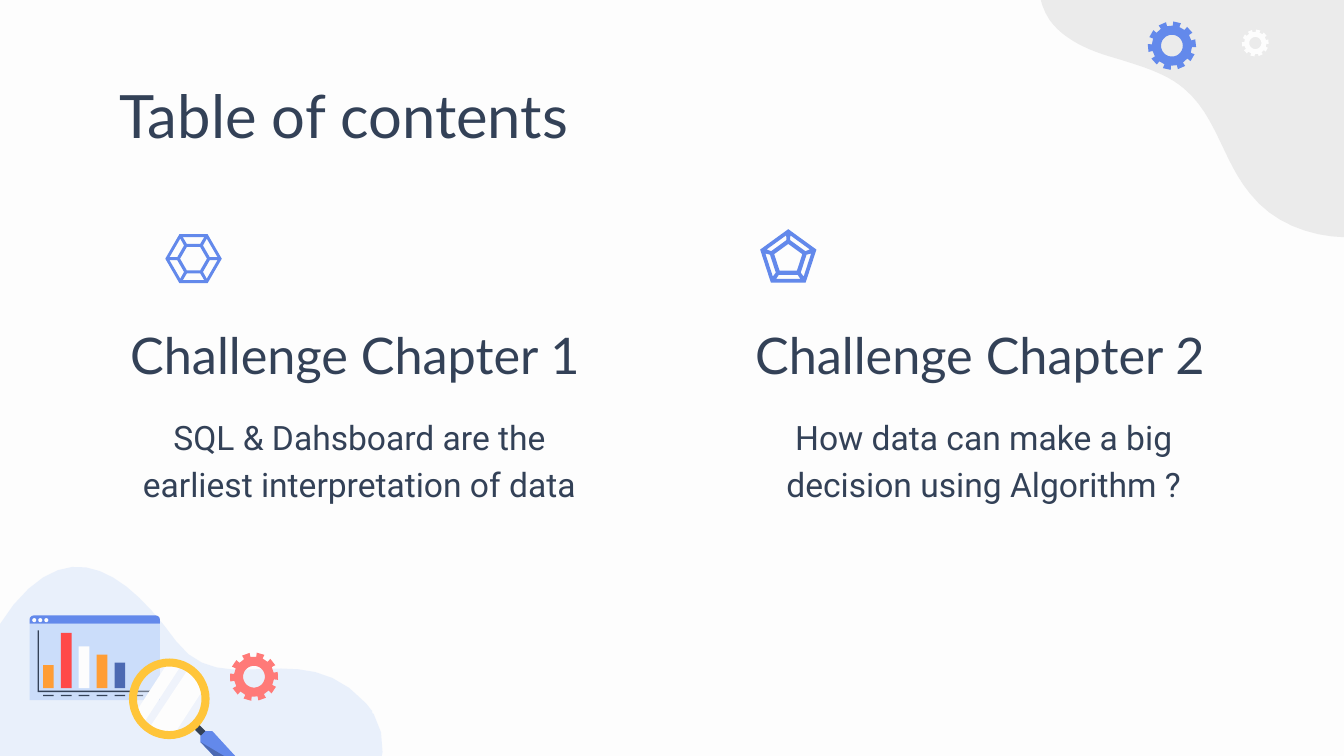
import math
import pptx
import pptx.dml.color
import pptx.enum.shapes
import pptx.enum.text
import pptx.oxml
import pptx.util

Inches = pptx.util.Inches
Pt = pptx.util.Pt
RGB = pptx.dml.color.RGBColor
KIND = pptx.enum.shapes.MSO_SHAPE
ALIGN = pptx.enum.text.PP_ALIGN
ANCHOR = pptx.enum.text.MSO_ANCHOR

PAPER = RGB(0xFD, 0xFD, 0xFD)
INK = RGB(0x33, 0x41, 0x57)
BLUE = RGB(0x63, 0x89, 0xEB)
NAVY = RGB(0x4C, 0x69, 0xB2)
PALE = RGB(0xCB, 0xDD, 0xFA)
GREY = RGB(0xEB, 0xEB, 0xEB)
CORAL = RGB(0xFF, 0x7A, 0x78)
RED = RGB(0xFF, 0x49, 0x49)
AMBER = RGB(0xFF, 0x9D, 0x35)
GOLD = RGB(0xFF, 0xC5, 0x3A)

# Content: words, box (left, top, width, height), style
HEAD = {"size": Pt(32), "name": "Lato"}
NAME = {"size": Pt(27), "name": "Lato"}
BODY = {"size": Pt(18), "name": "Roboto"}
TEXTS = [
    ("Table of contents", (0.79, 0.49, 8.43, 0.63), HEAD),
    ("How data can make a big decision using Algorithm ?", (5.47, 2.96, 3.7, 1.24), BODY),
    ("SQL & Dahsboard are the earliest interpretation of data", (0.79, 2.96, 3.77, 1.24), BODY),
    ("Challenge Chapter 1", (0.87, 2.33, 3.61, 0.63), NAME),
    ("Challenge Chapter 2", (5.52, 2.33, 3.61, 0.63), NAME),
]
FORMS = {
    id(HEAD): (ANCHOR.TOP, ALIGN.LEFT, 1.0),
    id(NAME): (ANCHOR.BOTTOM, ALIGN.LEFT, 1.15),
    id(BODY): (ANCHOR.TOP, ALIGN.CENTER, 1.15),
}

# Blobs: start, curves (two handles and an end point), centre, colour, alpha, turn
BLOBS = [
    ((2.72, 5.23), [
        (2.74, 5.25, 2.75, 5.27, 2.77, 5.29), (2.77, 5.3, 2.77, 5.31, 2.78, 5.31),
        (3.1, 5.85, 2.21, 6.6, 1.71, 7.14), (1.42, 7.45, 1.47, 7.43, 1.03, 8),
        (0.69, 8.45, 0.37, 8.42, 0.21, 8.25), (0.2, 8.25, 0.2, 8.24, 0.19, 8.23),
        (0.16, 8.19, 0.13, 8.14, 0.12, 8.08), (0.03, 7.79, 0.04, 7.66, -0.72, 7.19),
        (-1.48, 6.73, -1.1, 6.35, -0.58, 6.06), (-0.06, 5.76, -0.35, 5.05, 0.1, 4.5),
        (0.55, 3.95, 0.96, 4.29, 1.31, 4.77), (1.66, 5.24, 2.24, 4.7, 2.72, 5.23),
    ], PALE, 39, 311.2),
    ((11.13, -0.56), [
        (11.35, -0.14, 11.37, 0.38, 11.21, 0.83), (11.07, 1.21, 10.79, 1.55, 10.41, 1.7),
        (10.03, 1.84, 9.55, 1.76, 9.3, 1.44), (9.1, 1.2, 9.05, 0.86, 8.81, 0.66),
        (8.67, 0.54, 8.48, 0.49, 8.29, 0.43), (8.11, 0.38, 7.92, 0.3, 7.81, 0.15),
        (7.67, -0.06, 7.71, -0.36, 7.86, -0.57), (8.01, -0.78, 8.24, -0.91, 8.48, -1.01),
        (9.14, -1.29, 10.03, -1.53, 10.67, -1.08), (10.86, -0.95, 11.02, -0.77, 11.13, -0.56),
    ], GREY, 100, 21.5),
]
BARS = [(0.17, AMBER), (0.41, RED), (0.31, PAPER), (0.25, AMBER), (0.19, NAVY), (0.41, PALE)]
# Gears: centre, radius, colour, turn
GEARS = [(1.89, 5.035, 0.18, CORAL, 0), (8.72, 0.34, 0.18, BLUE, 68.3),
         (9.34, 0.32, 0.1, PAPER, 68.3)]
# Icons: sides, centre, outer and inner radius, half widths and depths of a pane
ICONS = [(6, 1.44, 1.925, 0.21, 0.1, (0.05, 0.11), (0.08, 0.16)),
         (5, 5.865, 1.925, 0.22, 0.11, (0.07, 0.12), (0.09, 0.15))]
LENS = (1.255, 5.195, 0.265)

deck = pptx.Presentation()
deck.slide_width, deck.slide_height = Inches(10), Inches(45 / 8)
slide = deck.slides.add_slide(deck.slide_layouts[6])
slide.background.fill.solid()
slide.background.fill.fore_color.rgb = PAPER


def paint(shape, color, alpha=100):
    shape.shadow.inherit = False
    shape.line.fill.background()
    shape.fill.solid()
    shape.fill.fore_color.rgb = color
    if alpha < 100:
        tone = shape.fill._xPr.find(".//" + pptx.oxml.ns.qn("a:srgbClr"))
        part = pptx.oxml.parse_xml("<a:alpha %s val='%d'/>" % (pptx.oxml.ns.nsdecls("a"), alpha * 1000))
        tone.append(part)
    return shape


def block(kind, box, color, alpha=100):
    return paint(slide.shapes.add_shape(kind, *map(Inches, box)), color, alpha)


def outline(rings, color, alpha=100):
    rings = [[(Inches(x), Inches(y)) for x, y in ring] for ring in rings]
    pen = slide.shapes.build_freeform(*rings[0][0])
    for k, ring in enumerate(rings):
        if k:
            pen.move_to(*ring[0])
        pen.add_line_segments(ring[1:], close=True)
    return paint(pen.convert_to_shape(), color, alpha)


def polar(x, y, r, deg):
    a = math.radians(deg)
    return x + r * math.cos(a), y + r * math.sin(a)


def spin(dots, x, y, deg):
    return [polar(x, y, math.hypot(u - x, v - y), math.degrees(math.atan2(v - y, u - x)) + deg)
            for u, v in dots]


def arc(x, y, r, a, b, n=12):
    return [polar(x, y, r, a + (b - a) * k / n) for k in range(n + 1)]


def trace(start, curves, n=12):
    dots = [start]
    for c in curves:
        four = [dots[-1], c[:2], c[2:4], c[4:]]
        for k in range(1, n + 1):
            t = k / n
            w = [(1 - t) ** 3, 3 * t * (1 - t) ** 2, 3 * t * t * (1 - t), t ** 3]
            dots.append(tuple(sum(f * p[i] for f, p in zip(w, four)) for i in (0, 1)))
    return dots


# Corner blobs: level the outline, then turn the shape about its own middle
for start, curves, color, alpha, turn in BLOBS:
    level = spin(trace(start, curves), 0, 0, -turn)
    mid = [(min(side) + max(side)) / 2 for side in zip(*level)]
    (x, y), = spin([mid], 0, 0, turn)
    dots = [(u - mid[0] + x, v - mid[1] + y) for u, v in level]
    outline([dots], color, alpha).rotation = turn

# Browser window with its bars
block(KIND.RECTANGLE, (0.22, 4.64, 0.97, 0.57), PALE)
block(KIND.ROUND_2_SAME_RECTANGLE, (0.22, 4.58, 0.97, 0.06), BLUE).adjustments[0] = 0.5
for k in range(3):
    block(KIND.OVAL, (0.24 + 0.045 * k, 4.6, 0.03, 0.03), PAPER)
outline([[(1.12, 5.15), (0.28, 5.15), (0.28, 4.69), (0.29, 4.69), (0.29, 5.14), (1.12, 5.14)]], INK)
for k, (tall, color) in enumerate(BARS):
    x = 0.32 + 0.133 * k
    block(KIND.RECTANGLE, (x, 5.12 - tall, 0.08, tall), color)
    block(KIND.RECTANGLE, (x, 5.17, 0.08, 0.01), INK)

# Magnifier: handle, glass, two glints, rim
outline([[(1.52, 5.5), (1.56, 5.47), (1.47, 5.38), (1.43, 5.41)]], INK)
outline([[(1.81, 5.71), (1.77, 5.77), (1.72, 5.76), (1.49, 5.52), (1.49, 5.48),
          (1.53, 5.44), (1.58, 5.44), (1.8, 5.68)]], BLUE)
outline([[(1.49, 5.52), (1.72, 5.76), (1.77, 5.77), (1.81, 5.71)]], NAVY)
block(KIND.OVAL, (0.99, 4.93, 0.53, 0.53), PAPER, 30)
for a, b, c, d in [(-56, -14, 80, 123), (-91, -69, 135, 157)]:
    outline([arc(*LENS, a, b) + arc(*LENS, c, d)], PAPER)
block(KIND.DONUT, (0.96, 4.9, 0.6, 0.6), GOLD).adjustments[0] = 0.1

# Gears with ten teeth
for x, y, r, color, turn in GEARS:
    rim = []
    for k in range(10):
        mid = 36 * k - 2
        rim += [polar(x, y, r * f, mid + s) for f, s in
                [(0.83, -9.5), (1, -9.5), (1, 9.5), (0.83, 9.5)]]
    outline([rim, arc(x, y, r * 0.45, 0, 360, 36)], color).rotation = turn

# Text
for words, box, font in TEXTS:
    frame = slide.shapes.add_textbox(*map(Inches, box)).text_frame
    anchor, align, space = FORMS[id(font)]
    edges = {"margin_" + s: Inches(0.1) for s in ("left", "top", "right", "bottom")}
    for key, val in {"word_wrap": True, "vertical_anchor": anchor, **edges}.items():
        setattr(frame, key, val)
    para = frame.paragraphs[0]
    para.alignment, para.line_spacing = align, space
    run = para.add_run()
    run.text = words
    for key, val in font.items():
        setattr(run.font, key, val)
    run.font.color.rgb = INK

# Polygon icons: outer edge, core and one pane per side
for n, x, y, far, near, low, high in ICONS:
    turns = [360 / n * k for k in range(n)]
    rings = [[polar(x, y, r, 90 + 180 / n + t) for t in turns] for r in (far, near)]
    pane = [(x + s * u, y + v) for s, (u, v) in [(-1, low), (1, low), (1, high), (-1, high)]]
    rings += [spin(pane, x, y, t) for t in turns]
    outline(rings, BLUE)

deck.save("out.pptx")
